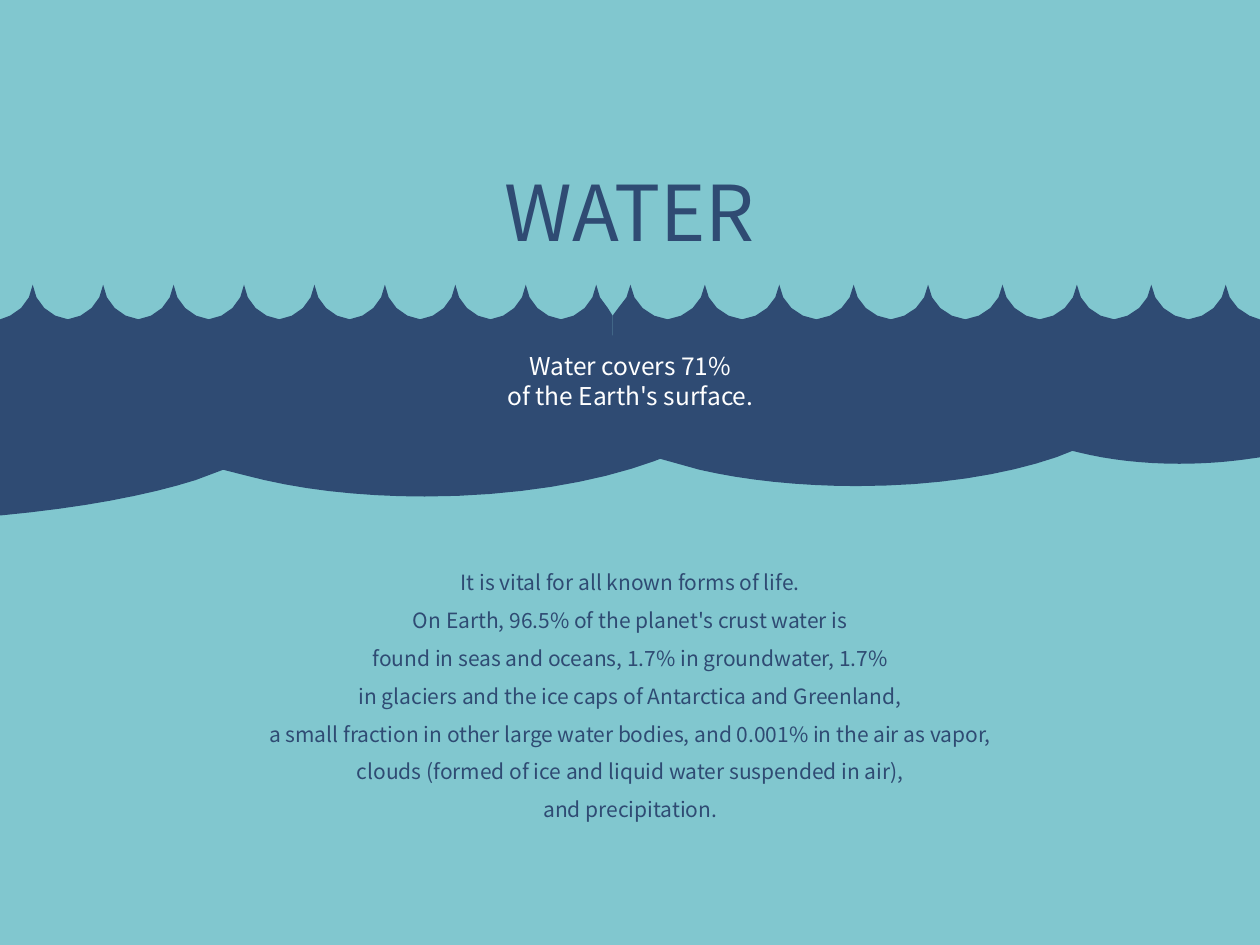
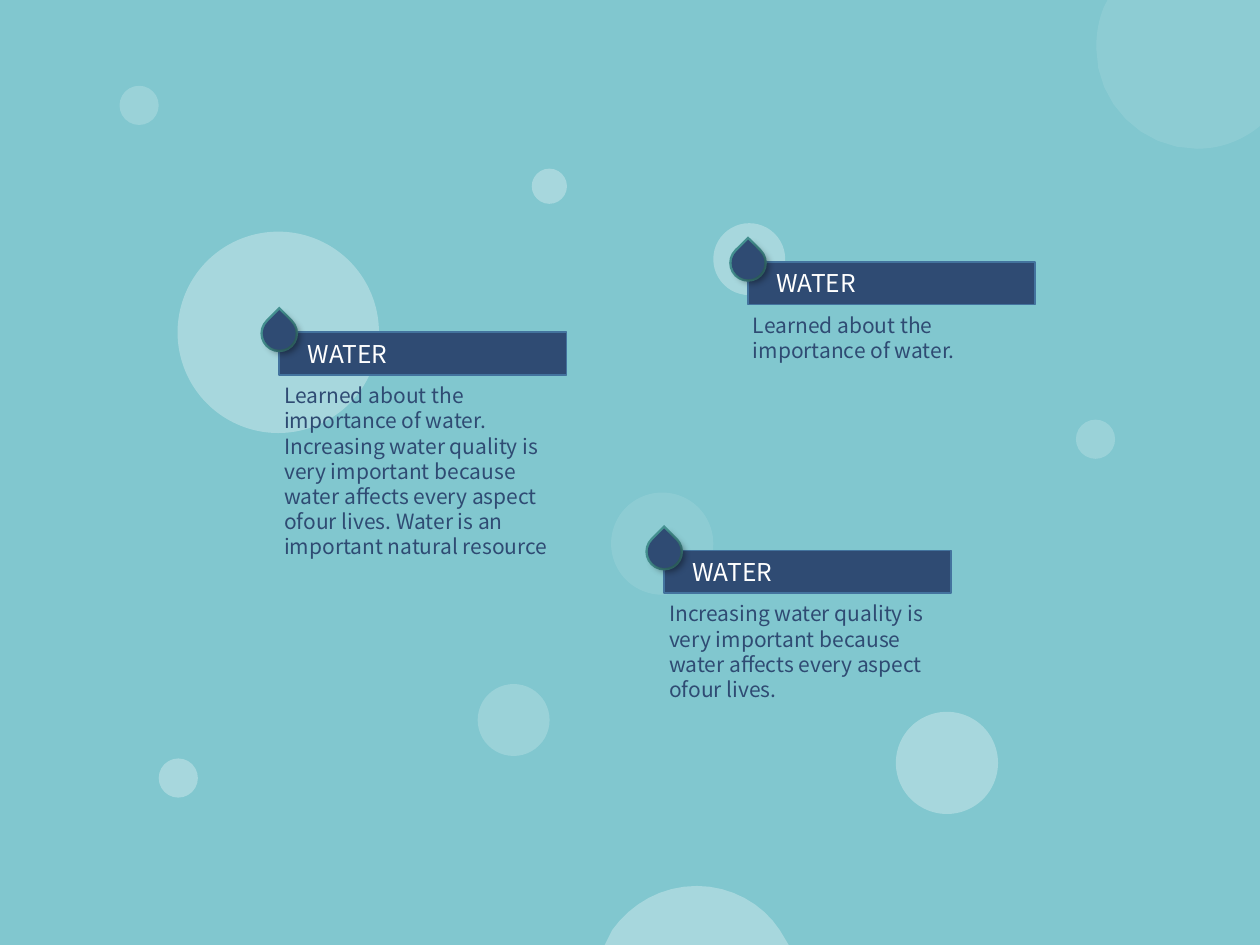
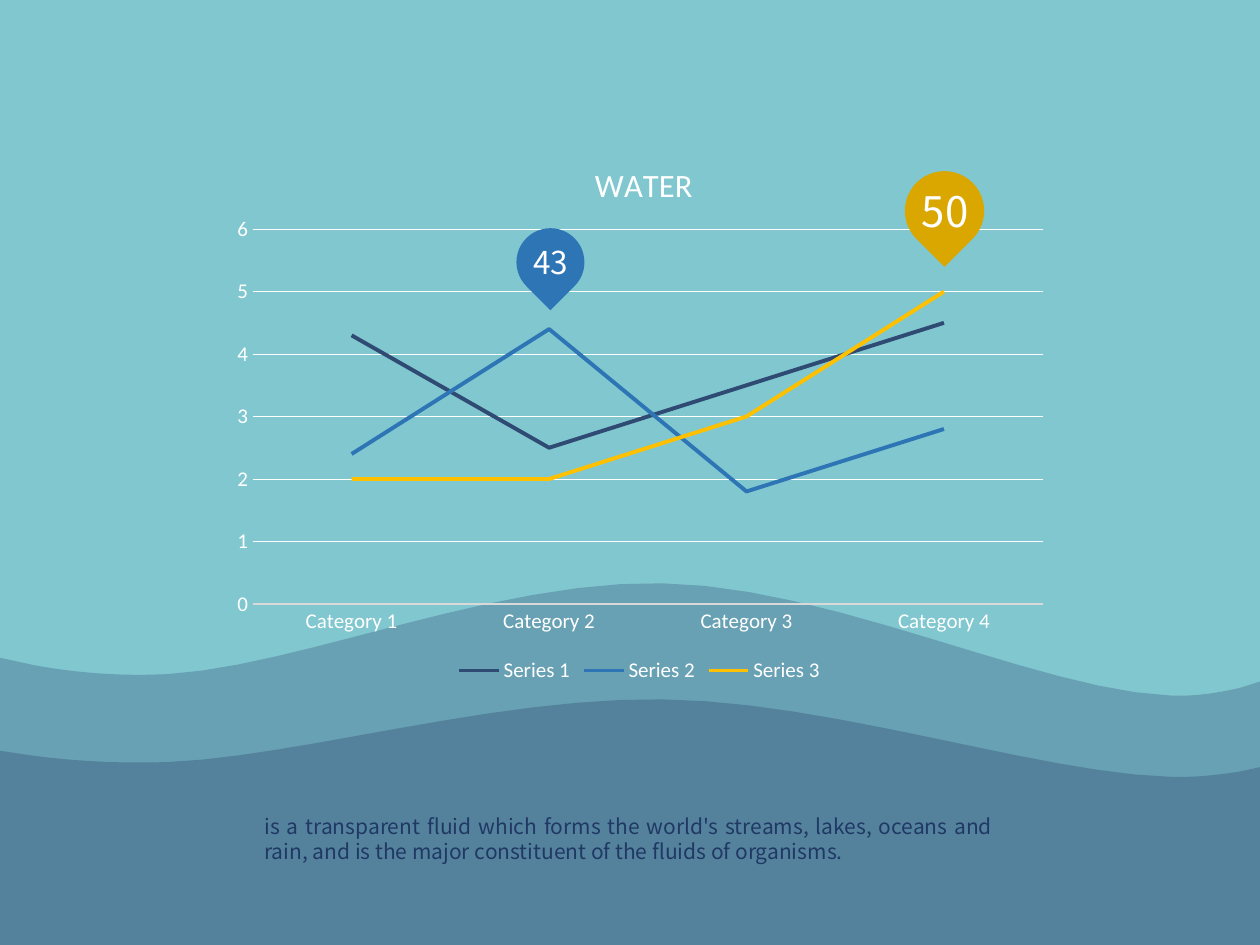
from lxml import etree
from pptx import Presentation
from pptx.chart.data import CategoryChartData
from pptx.dml.color import RGBColor
from pptx.enum.chart import XL_CHART_TYPE, XL_LEGEND_POSITION as LEGEND, XL_TICK_MARK
from pptx.enum.shapes import MSO_SHAPE as SHAPE
from pptx.enum.text import MSO_AUTO_SIZE, PP_ALIGN as ALIGN
from pptx.oxml.ns import qn
from pptx.util import Cm, Pt

SKY = RGBColor(0x81, 0xC7, 0xCF)
NAVY = RGBColor(0x2F, 0x4B, 0x73)
DEEP = RGBColor(0x20, 0x38, 0x64)
BLUE = RGBColor(0x2E, 0x75, 0xB6)
EDGE = RGBColor(0x43, 0x73, 0x9E)
TEAL = RGBColor(0x45, 0x91, 0x91)
YELLOW = RGBColor(0xFF, 0xC0, 0x00)
GOLD = RGBColor(0xDA, 0xA6, 0x00)
GREY = RGBColor(0xD9, 0xD9, 0xD9)
WHITE = RGBColor(0xFF, 0xFF, 0xFF)
FONT, CHART_FONT = "Noto Sans CJK KR", "Calibri"
WIDTH, HEIGHT = 25.4, 19.05  # every length below is in cm

HEADLINES = ["Water covers 71%", "of the Earth's surface."]
FACTS = [
    "It is vital for all known forms of life.",
    "On Earth, 96.5% of the planet's crust water is",
    "found in seas and oceans, 1.7% in groundwater, 1.7%",
    "in glaciers and the ice caps of Antarctica and Greenland,",
    "a small fraction in other large water bodies, and 0.001% in the air as vapor,",
    "clouds (formed of ice and liquid water suspended in air),",
    "and precipitation.",
]
# Paths: a pair is a straight step, six numbers are a cubic curve.
SEA = [
    (0, 6.78), (WIDTH, 6.78), (WIDTH, 9.22), (25.04, 9.27),
    (24.66, 9.32, 24.23, 9.35, 23.77, 9.35), (23.04, 9.35, 22.35, 9.27, 21.74, 9.12),
    (21.62, 9.09), (21.29, 9.22),
    (20.24, 9.58, 18.85, 9.8, 17.27, 9.8), (16.1, 9.8, 15.01, 9.68, 14.1, 9.47),
    (13.31, 9.25), (13.18, 9.3),
    (12.01, 9.73, 10.36, 10.01, 8.56, 10.01), (7.21, 10.01, 5.97, 9.86, 4.93, 9.58),
    (4.5, 9.47), (3.94, 9.68), (3, 9.98, 1.65, 10.24, 0.03, 10.39), (0, 10.39),
]
# Right half of one crest: x in half widths, y down from the tip.
HALF_CREST = [(0, 0), (0.05, 0.36, 0.43, 0.66, 0.9, 0.7), (1, 0.71), (1, 0.79),
              (1, 1.22, 0.55, 1.56, 0, 1.56)]
CREST_TOP, CRESTS_MEET, CRESTS_PER_SIDE = 5.74, 12.35, 9
# first tip, pitch, half width, left limit, right limit
CREST_ROWS = [(0.66, 1.42, 0.8, 0, CRESTS_MEET),
              (24.71, -1.5, 0.84, CRESTS_MEET, WIDTH)]

# left, top, diameter, opacity %
BUBBLES = [
    (3.58, 4.67, 4.06, 30), (18.06, 14.35, 2.06, 30), (14.38, 4.5, 1.45, 30),
    (3.2, 15.29, 0.79, 30), (21.69, 8.46, 0.79, 20), (9.63, 13.79, 1.45, 20),
    (12.32, 9.93, 2.06, 10), (2.41, 1.73, 0.79, 20), (10.72, 3.4, 0.71, 30),
]
CORNER_BUBBLE = [
    (22.33, 0), (WIDTH, 0), (WIDTH, 2.54), (25.27, 2.64),
    (24.94, 2.87, 24.56, 3, 24.13, 3), (23.01, 3, 22.1, 2.08, 22.1, 0.97),
    (22.1, 0.66, 22.15, 0.41, 22.25, 0.15),
]
BOTTOM_BUBBLE = [
    (14.05, 17.86), (14.73, 17.86, 15.37, 18.21, 15.72, 18.75), (15.9, HEIGHT),
    (12.19, HEIGHT), (12.34, 18.75), (12.73, 18.21, 13.34, 17.86, 14.05, 17.86),
]
# bar left, bar top, text height, text
CARDS = [
    (5.63, 6.7, 3.84, "Learned about the importance of water. Increasing water quality is very "
     "important because water affects every aspect ofour lives. Water is an important "
     "natural resource"),
    (13.39, 11.1, 2.31, "Increasing water quality is very important because water affects every "
     "aspect ofour lives."),
    (15.08, 5.28, 1.27, "Learned about the importance of water."),
]

# y down from the top of the swell; None is the foot of the slide
SWELL = [
    (13.36, 0), (16.74, 0.05, 20.96, 2.16, 23.57, 2.26),
    (24.05, 2.29, 24.54, 2.21, 24.99, 2.11), (WIDTH, 1.98), (WIDTH, None), (0, None),
    (0, 1.5), (0.69, 1.65), (1.5, 1.8, 2.41, 1.88, 3.38, 1.83),
    (6.02, 1.68, 10.01, -0.08, 13.36, 0),
]
SWELLS = [(11.76, 1, 30), (14.1, 0.69, 35)]  # top, steepness, opacity %
CATEGORIES = ["Category 1", "Category 2", "Category 3", "Category 4"]
SERIES = [
    ("Series 1", [4.3, 2.5, 3.5, 4.5], NAVY),
    ("Series 2", [2.4, 4.4, 1.8, 2.8], BLUE),
    ("Series 3", [2, 2, 3, 5], YELLOW),
]
# pin left, top, size, colour, label, label left, top, height, font size
PINS = [(10.41, 4.6, 1.37, BLUE, "43", 10.29, 4.78, 1.02, 18),
        (18.24, 3.45, 1.6, GOLD, "50", 18.24, 3.61, 1.27, 24)]
DEFINITION = ("is a transparent fluid which forms the world's streams, lakes, oceans and rain, "
              "and is the major constituent of the fluids of organisms.")


def add_slide(prs):
    s = prs.slides.add_slide(prs.slide_layouts[6])
    s.background.fill.solid()
    s.background.fill.fore_color.rgb = SKY
    return s


def paint(sp, color, opacity=100):
    sp.shadow.inherit = False
    sp.fill.solid()
    sp.fill.fore_color.rgb = color
    sp.line.fill.background()
    if opacity < 100:
        clr = sp._element.spPr.find(qn("a:solidFill"))[0]
        etree.SubElement(clr, qn("a:alpha"), val=str(opacity * 1000))
    return sp


def add_preset(s, kind, left, top, width, height, color, opacity=100, turn=0):
    sp = s.shapes.add_shape(kind, Cm(left), Cm(top), Cm(width), Cm(height))
    sp.rotation = turn
    return paint(sp, color, opacity)


def trace(steps, pieces=8):
    """Turn straight and cubic steps into a list of points."""
    points = []
    for step in steps:
        if len(step) == 2:
            points.append(step)
            continue
        nodes = [points[-1], step[:2], step[2:4], step[4:]]
        for i in range(1, pieces + 1):
            t = i / pieces
            weights = ((1 - t) ** 3, 3 * t * (1 - t) ** 2, 3 * t * t * (1 - t), t ** 3)
            points.append(tuple(sum(w * n[axis] for w, n in zip(weights, nodes))
                                for axis in (0, 1)))
    return points


def add_outline(s, points, color, opacity=100):
    start, *rest = [(Cm(x), Cm(y)) for x, y in points]
    builder = s.shapes.build_freeform(*start)
    builder.add_line_segments(rest)
    return paint(builder.convert_to_shape(), color, opacity)


def add_text(s, lines, left, top, width, height, size, color, align=ALIGN.LEFT):
    box = s.shapes.add_textbox(Cm(left), Cm(top), Cm(width), Cm(height))
    tf = box.text_frame
    tf.word_wrap = True
    tf.auto_size = MSO_AUTO_SIZE.SHAPE_TO_FIT_TEXT
    tf.text = "\n".join(lines)
    for p in tf.paragraphs:
        p.alignment = align
        style(p.font, size, color)
    return tf


def style(font, size, color, name=FONT):
    font.name, font.size = name, Pt(size)
    font.color.rgb = color


def add_drop_shadow(sp):
    effects = sp._element.spPr.find(qn("a:effectLst"))
    shadow = etree.SubElement(effects, qn("a:outerShdw"), blurRad=str(Pt(4)), dist=str(Pt(3)),
                              dir=str(45 * 60000), algn="tl", rotWithShape="0")
    clr = etree.SubElement(shadow, qn("a:srgbClr"), val="000000")
    etree.SubElement(clr, qn("a:alpha"), val="40000")


def add_crests(s):
    half = trace(HALF_CREST, pieces=4)
    unit = half + [(-x, y) for x, y in half[-2:0:-1]]
    for first, pitch, half_width, low, high in CREST_ROWS:
        for i in range(CRESTS_PER_SIDE):
            tip = first + i * pitch
            add_outline(s, [(min(max(tip + x * half_width, low), high), CREST_TOP + y)
                            for x, y in unit], NAVY)


def add_card(s, left, top, text_height, text):
    add_text(s, [text], left - 0.15, top + 0.89, 6, text_height, 12, NAVY)
    bar = add_preset(s, SHAPE.RECTANGLE, left, top, 5.79, 0.86, NAVY)
    bar.line.color.rgb = EDGE
    bar.line.width = Pt(1)
    add_text(s, ["WATER"], left + 0.32, top, 2.57, 0.86, 14, WHITE)
    for size, color in ((0.76, TEAL), (0.66, NAVY)):
        drop = add_preset(s, SHAPE.TEAR, left - size / 2, top + 0.02 - size / 2,
                          size, size, color, turn=315)
    add_drop_shadow(drop)


def place(parent, index, inner=False, **fractions):
    """Give a chart part a fixed place, in fractions of the chart."""
    layout = parent.find(qn("c:layout"))
    if layout is not None:
        parent.remove(layout)
    layout = etree.Element(qn("c:layout"))
    parent.insert(index, layout)
    manual = etree.SubElement(layout, qn("c:manualLayout"))
    if inner:
        etree.SubElement(manual, qn("c:layoutTarget"), val="inner")
    for axis in "xy":
        etree.SubElement(manual, qn(f"c:{axis}Mode"), val="edge")
    for name, value in fractions.items():
        etree.SubElement(manual, qn(f"c:{name}"), val=str(value))


def add_line_chart(s):
    data = CategoryChartData()
    data.categories = CATEGORIES
    for name, values, _ in SERIES:
        data.add_series(name, values)
    chart = s.shapes.add_chart(XL_CHART_TYPE.LINE, Cm(4.42), Cm(2.59), Cm(16.94), Cm(11.28),
                               data).chart
    style(chart.font, 12, WHITE, CHART_FONT)
    chart.has_title = True
    title = chart.chart_title
    title.text_frame.text = "WATER"
    font = title.text_frame.paragraphs[0].runs[0].font
    style(font, 18.6, WHITE, CHART_FONT)
    font.bold = False
    place(title._element, 1, x=0.44, y=0.05)
    place(chart._chartSpace.chart.plotArea, 0, inner=True, x=0.04, y=0.18, w=0.94, h=0.67)

    chart.has_legend = True
    chart.legend.position = LEGEND.BOTTOM
    chart.legend.include_in_layout = False
    for axis in (chart.category_axis, chart.value_axis):
        axis.major_tick_mark = axis.minor_tick_mark = XL_TICK_MARK.NONE
    chart.category_axis.format.line.color.rgb = GREY
    chart.category_axis.format.line.width = Pt(0.75)
    values = chart.value_axis
    values.minimum_scale, values.maximum_scale, values.major_unit = 0, 6, 1
    values.format.line.fill.background()
    values.major_gridlines.format.line.color.rgb = WHITE
    values.major_gridlines.format.line.width = Pt(0.25)
    for series, (_, _, color) in zip(chart.plots[0].series, SERIES):
        series.smooth = False
        series.format.line.color.rgb = color
        series.format.line.width = Pt(2.25)


def build_cover(prs):
    s = add_slide(prs)
    add_text(s, ["WATER"], 9.65, 3.2, 6.1, 2.13, 44, NAVY, ALIGN.CENTER)
    add_preset(s, SHAPE.RECTANGLE, 0, 6.76, WIDTH, 0.81, NAVY)
    add_crests(s)
    add_outline(s, trace(SEA), NAVY)
    tf = add_text(s, HEADLINES + FACTS, 3.86, 6.96, 17.7, 9.83, 14, WHITE, ALIGN.CENTER)
    facts = tf.paragraphs[len(HEADLINES):]
    for p in facts:
        style(p.font, 12, NAVY)
        p.line_spacing = 1.5
    facts[0].space_before = Pt(84)


def build_bubbles(prs):
    s = add_slide(prs)
    for left, top, size, opacity in BUBBLES:
        add_preset(s, SHAPE.OVAL, left, top, size, size, WHITE, opacity)
    add_outline(s, trace(CORNER_BUBBLE), WHITE, 10)
    add_outline(s, trace(BOTTOM_BUBBLE), WHITE, 30)
    for card in CARDS:
        add_card(s, *card)


def build_chart(prs):
    s = add_slide(prs)
    for top, steepness, opacity in SWELLS:
        steps = [tuple(v if i % 2 == 0 else HEIGHT if v is None else top + v * steepness
                       for i, v in enumerate(step)) for step in SWELL]
        add_outline(s, trace(steps, pieces=12), NAVY, opacity)
    add_line_chart(s)
    add_text(s, [DEFINITION], 5.08, 16.28, 15.19, 1.27, 12, DEEP, ALIGN.JUSTIFY)
    for left, top, size, color, label, label_left, label_top, label_height, points in PINS:
        add_preset(s, SHAPE.TEAR, left, top, size, size, color, turn=135)
        add_text(s, [label], label_left, label_top, 1.63, label_height, points, WHITE,
                 ALIGN.CENTER)


def main():
    prs = Presentation()
    prs.slide_width, prs.slide_height = Cm(WIDTH), Cm(HEIGHT)
    build_cover(prs)
    build_bubbles(prs)
    build_chart(prs)
    prs.save("out.pptx")


if __name__ == "__main__":
    main()
